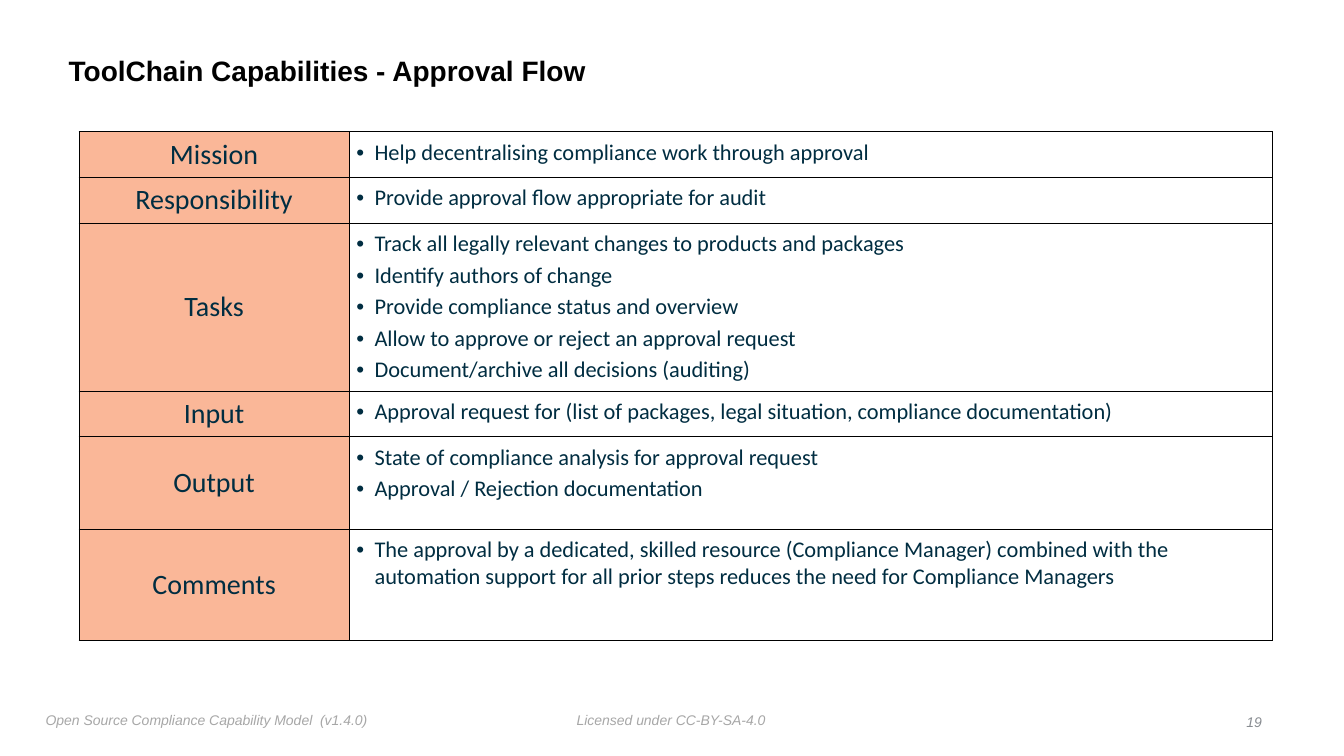
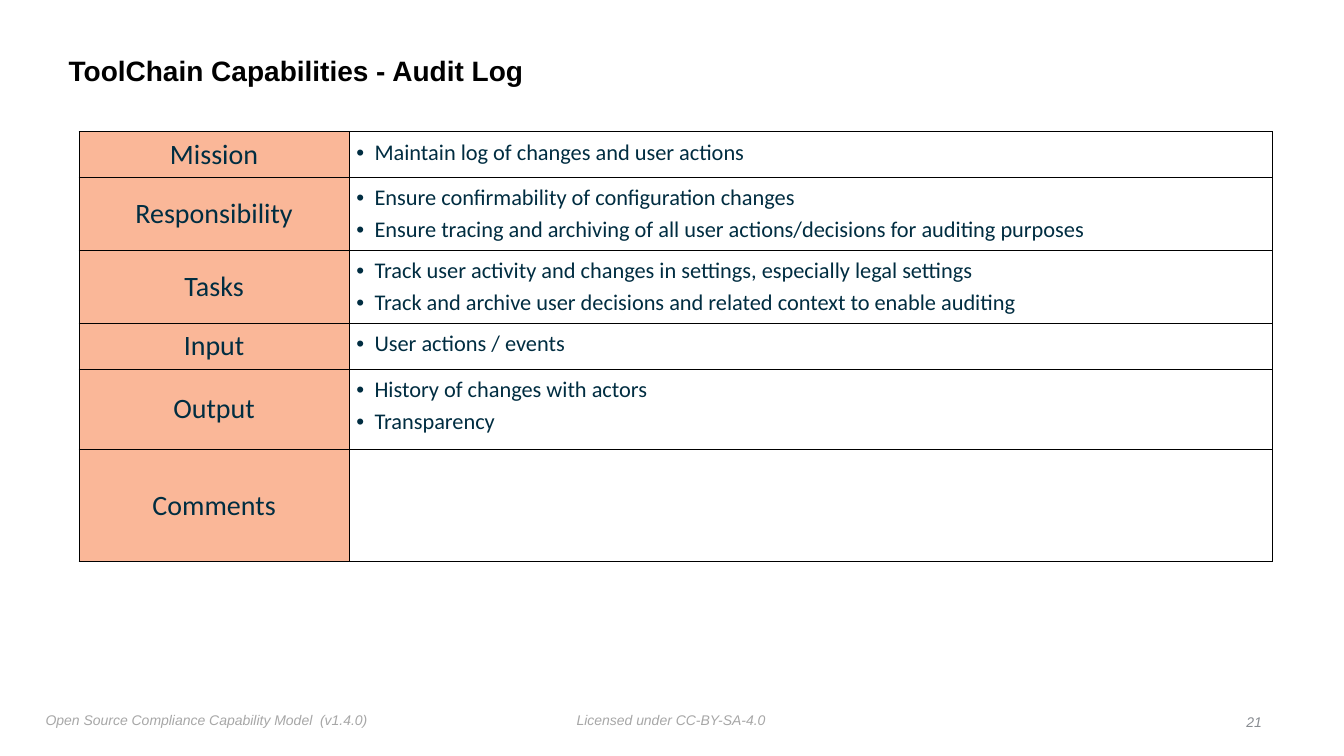
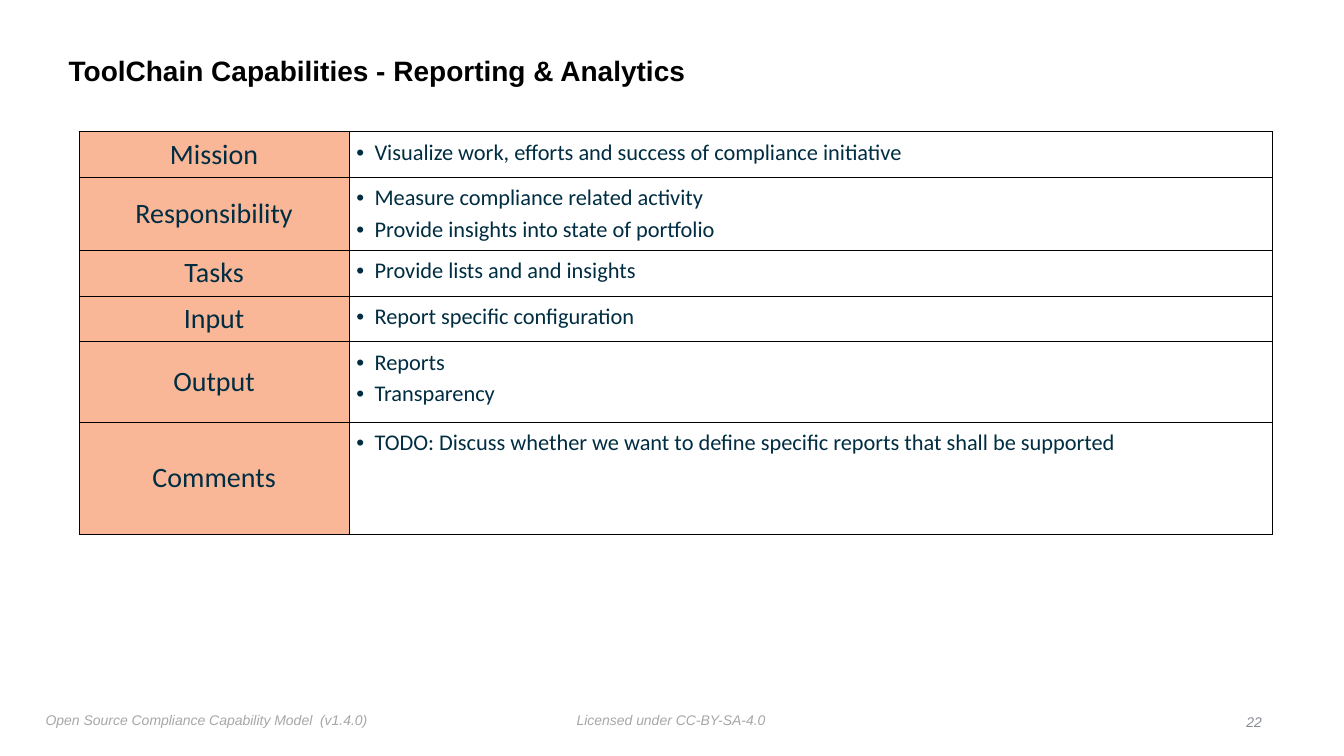
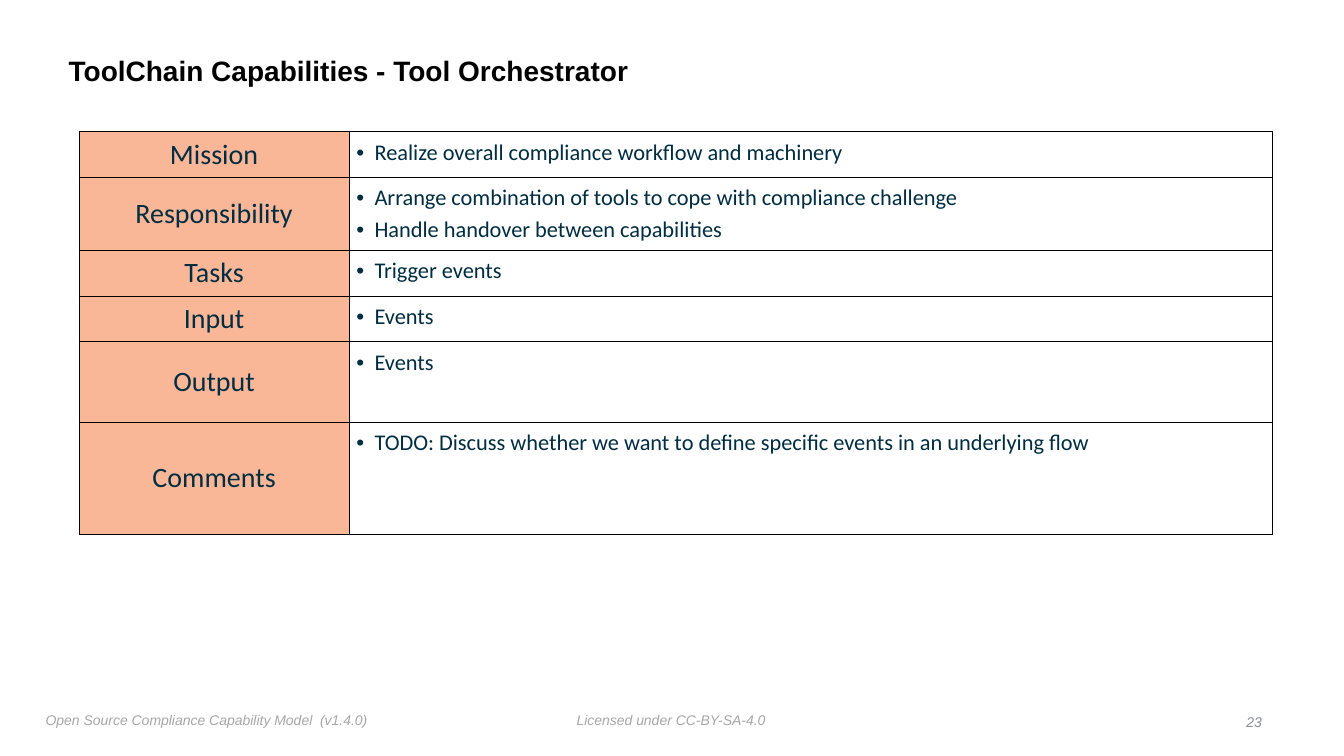
from dataclasses import dataclass

from lxml.etree import SubElement
from pptx import Presentation
from pptx.dml.color import RGBColor
from pptx.enum.text import MSO_ANCHOR, PP_ALIGN
from pptx.oxml.ns import qn
from pptx.slide import Slide
from pptx.table import _Cell
from pptx.text.text import TextFrame
from pptx.util import Cm, Pt

BLACK = RGBColor(0x00, 0x00, 0x00)
NAVY = RGBColor(0x00, 0x2D, 0x41)
PEACH = RGBColor(0xFA, 0xB7, 0x98)
FOOTER_GREY = RGBColor(0xA7, 0xA7, 0xA7)
NUMBER_GREY = RGBColor(0x88, 0x8C, 0x91)

HEADING_FONT = "Arial"
TABLE_FONT = "Calibri"
BOX_INSET = 0.13
CELL_INSET = 0.18
BULLET_INDENT = 0.46
TABLE_LEFT, TABLE_TOP = 1.99, 3.32
COLUMN_WIDTHS = (6.81, 23.27)
ROW_HEIGHT = 1.15
COMMENTS_HEIGHT = 2.82
BULLET_PITCH, ROW_PADDING = 0.8, 0.24


@dataclass(frozen=True)
class Capability:
    name: str
    number: int
    mission: tuple[str, ...]
    responsibility: tuple[str, ...]
    tasks: tuple[str, ...]
    inputs: tuple[str, ...]
    outputs: tuple[str, ...]
    comments: tuple[str, ...] = ()
    output_height: float = 2.03


@dataclass(frozen=True)
class TableRow:
    label: str
    items: tuple[str, ...]
    minimum_height: float = ROW_HEIGHT

    @property
    def height(self) -> float:
        return max(self.minimum_height, ROW_PADDING + BULLET_PITCH * len(self.items))


@dataclass(frozen=True)
class Label:
    left: float
    top: float
    width: float
    height: float
    color: RGBColor
    size: int = 10
    bold: bool = False
    italic: bool = True
    wrap: bool = False
    align: PP_ALIGN = PP_ALIGN.LEFT
    anchor: MSO_ANCHOR = MSO_ANCHOR.TOP
    line_spacing: float = 1.0


TITLE = Label(1.6, 0.99, 27.31, 1.65, BLACK, size=20, bold=True, italic=False,
              wrap=True, anchor=MSO_ANCHOR.MIDDLE, line_spacing=0.9)
MODEL_FOOTER = Label(1.02, 17.81, 8.43, 0.69, FOOTER_GREY)
LICENSE_FOOTER = Label(14.4, 17.81, 5.05, 0.64, FOOTER_GREY)
PAGE_NUMBER = Label(31.24, 17.86, 0.69, 0.64, NUMBER_GREY,
                    align=PP_ALIGN.RIGHT, anchor=MSO_ANCHOR.MIDDLE)

CAPABILITIES = (
    Capability(
        "Approval Flow", 19,
        mission=("Help decentralising compliance work through approval",),
        responsibility=("Provide approval flow appropriate for audit",),
        tasks=(
            "Track all legally relevant changes to products and packages",
            "Identify authors of change",
            "Provide compliance status and overview",
            "Allow to approve or reject an approval request",
            "Document/archive all decisions (auditing)",
        ),
        inputs=("Approval request for (list of packages, legal situation, "
                "compliance documentation)",),
        outputs=("State of compliance analysis for approval request",
                 "Approval / Rejection documentation"),
        comments=("The approval by a dedicated, skilled resource (Compliance Manager) "
                  "combined with the automation support for all prior steps reduces "
                  "the need for Compliance Managers",),
        output_height=2.32,
    ),
    Capability(
        "Audit Log", 21,
        mission=("Maintain log of changes and user actions",),
        responsibility=(
            "Ensure confirmability of configuration changes",
            "Ensure tracing and archiving of all user actions/decisions for auditing purposes",
        ),
        tasks=(
            "Track user activity and changes in settings, especially legal settings",
            "Track and archive user decisions and related context to enable auditing",
        ),
        inputs=("User actions / events",),
        outputs=("History of changes with actors", "Transparency"),
    ),
    Capability(
        "Reporting & Analytics", 22,
        mission=("Visualize work, efforts and success of compliance initiative",),
        responsibility=("Measure compliance related activity",
                        "Provide insights into state of portfolio"),
        tasks=("Provide lists and and insights",),
        inputs=("Report specific configuration",),
        outputs=("Reports", "Transparency"),
        comments=("TODO: Discuss whether we want to define specific reports "
                  "that shall be supported",),
    ),
    Capability(
        "Tool Orchestrator", 23,
        mission=("Realize overall compliance workflow and machinery",),
        responsibility=("Arrange combination of tools to cope with compliance challenge",
                        "Handle handover between capabilities"),
        tasks=("Trigger events",),
        inputs=("Events",),
        outputs=("Events",),
        comments=("TODO: Discuss whether we want to define specific events "
                  "in an underlying flow",),
    ),
)


def write_text(frame: TextFrame, *lines: str, font: str, size: int, color: RGBColor,
               bold: bool = False, italic: bool = False, bullet: bool = False,
               align: PP_ALIGN = PP_ALIGN.LEFT, line_spacing: float = 1.0,
               space_before: int = 0) -> None:
    for index, line in enumerate(lines):
        para = frame.add_paragraph() if index else frame.paragraphs[0]
        para.alignment = align
        para.line_spacing = line_spacing
        para.space_before = Pt(space_before)
        if bullet:
            properties = para._p.get_or_add_pPr()
            properties.set("marL", str(Cm(BULLET_INDENT)))
            properties.set("indent", str(-Cm(BULLET_INDENT)))
            SubElement(properties, qn("a:buFont"), typeface="Arial")
            SubElement(properties, qn("a:buChar"), char="•")
        span = para.add_run()
        span.text = line
        span.font.name = font
        span.font.size = Pt(size)
        span.font.color.rgb = color
        span.font.bold = bold
        span.font.italic = italic


def set_margins(target: TextFrame | _Cell, inset: float) -> None:
    target.margin_left = target.margin_right = Cm(inset)
    target.margin_top = target.margin_bottom = Cm(inset)


def add_label(page: Slide, text: str, label: Label) -> None:
    box = page.shapes.add_textbox(Cm(label.left), Cm(label.top),
                                  Cm(label.width), Cm(label.height))
    frame = box.text_frame
    frame.word_wrap = label.wrap
    frame.vertical_anchor = label.anchor
    set_margins(frame, BOX_INSET)
    write_text(frame, text, font=HEADING_FONT, size=label.size, color=label.color,
               bold=label.bold, italic=label.italic, align=label.align,
               line_spacing=label.line_spacing)


def outline_cell(cell: _Cell) -> None:
    properties = cell._tc.get_or_add_tcPr()
    for side in ("lnL", "lnR", "lnT", "lnB"):
        border = SubElement(properties, qn(f"a:{side}"), w=str(Pt(0.5)))
        fill = SubElement(border, qn("a:solidFill"))
        SubElement(fill, qn("a:srgbClr"), val=str(BLACK))


def fill_label_cell(cell: _Cell, label: str) -> None:
    outline_cell(cell)
    cell.fill.solid()
    cell.fill.fore_color.rgb = PEACH
    cell.vertical_anchor = MSO_ANCHOR.MIDDLE
    set_margins(cell, 0)
    write_text(cell.text_frame, label, font=TABLE_FONT, size=20, color=NAVY,
               align=PP_ALIGN.CENTER)


def fill_items_cell(cell: _Cell, items: tuple[str, ...]) -> None:
    outline_cell(cell)
    cell.fill.background()
    set_margins(cell, CELL_INSET)
    write_text(cell.text_frame, *items, font=TABLE_FONT, size=16, color=NAVY,
               bullet=True, space_before=3)


def add_capability_table(page: Slide, capability: Capability) -> None:
    rows = (
        TableRow("Mission", capability.mission),
        TableRow("Responsibility", capability.responsibility),
        TableRow("Tasks", capability.tasks),
        TableRow("Input", capability.inputs),
        TableRow("Output", capability.outputs, capability.output_height),
        TableRow("Comments", capability.comments, COMMENTS_HEIGHT),
    )
    table = page.shapes.add_table(
        len(rows), len(COLUMN_WIDTHS), Cm(TABLE_LEFT), Cm(TABLE_TOP),
        Cm(sum(COLUMN_WIDTHS)), Cm(sum(row.height for row in rows))).table
    table.first_row = False
    table.horz_banding = False
    for column, width in zip(table.columns, COLUMN_WIDTHS):
        column.width = Cm(width)
    for index, row in enumerate(rows):
        table.rows[index].height = Cm(row.height)
        fill_label_cell(table.cell(index, 0), row.label)
        fill_items_cell(table.cell(index, 1), row.items)


def main() -> None:
    deck = Presentation()
    deck.slide_width, deck.slide_height = Cm(33.87), Cm(19.05)
    blank_layout = deck.slide_layouts[6]
    for capability in CAPABILITIES:
        page = deck.slides.add_slide(blank_layout)
        add_label(page, "Licensed under CC-BY-SA-4.0", LICENSE_FOOTER)
        add_label(page, "Open Source Compliance Capability Model  (v1.4.0)", MODEL_FOOTER)
        add_label(page, f"ToolChain Capabilities - {capability.name}", TITLE)
        add_capability_table(page, capability)
        add_label(page, str(capability.number), PAGE_NUMBER)
    deck.save("out.pptx")


main()
